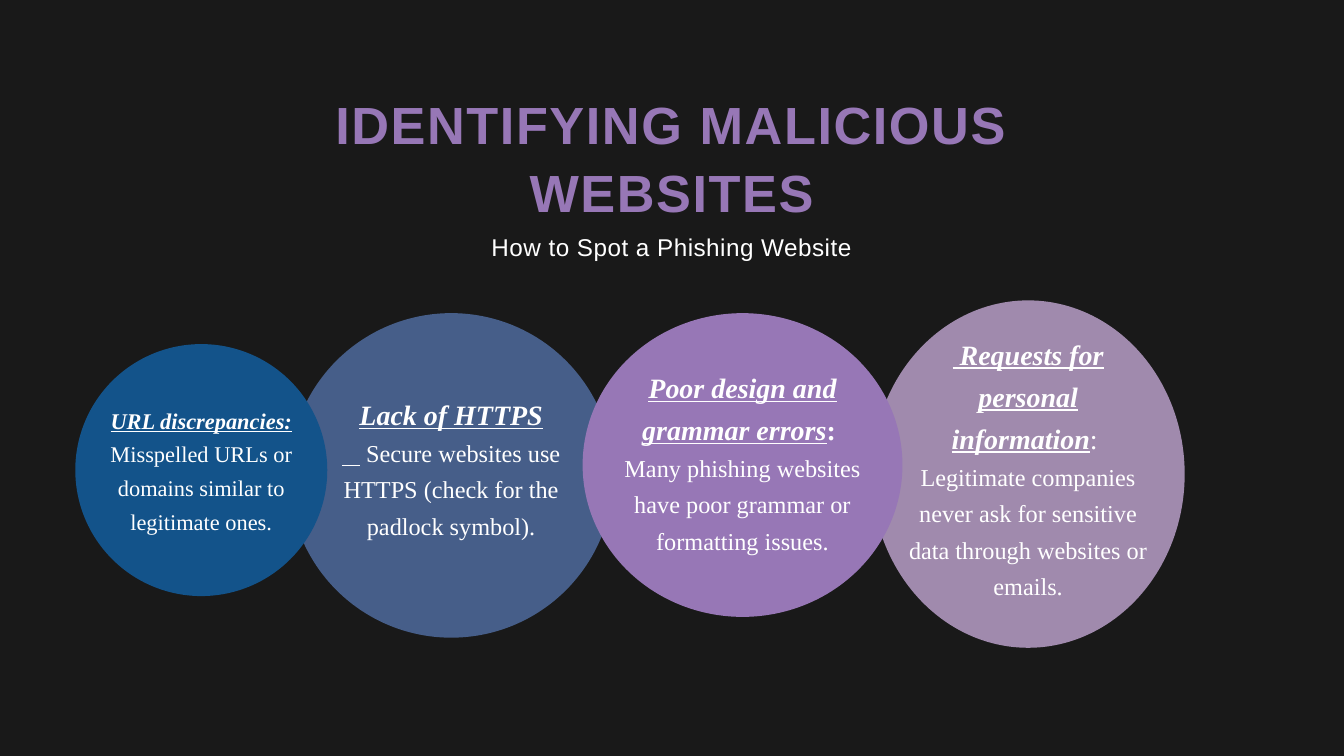
from pptx import Presentation
from pptx.dml.color import RGBColor
from pptx.enum.shapes import MSO_SHAPE as SHAPE
from pptx.enum.text import MSO_ANCHOR as ANCHOR, MSO_AUTO_SIZE as AUTO, PP_ALIGN as ALIGN
from pptx.util import Inches, Pt

DARK = RGBColor(0x19, 0x19, 0x19)
WHITE = RGBColor(0xFF, 0xFF, 0xFF)
PURPLE = RGBColor(0x97, 0x77, 0xB6)
SLATE = RGBColor(0x46, 0x5E, 0x89)
BLUE = RGBColor(0x13, 0x53, 0x8A)
MAUVE = RGBColor(0xA0, 0x8A, 0xAD)

HEAD = {"bold": True, "italic": True, "underline": True}
BOLD = {"bold": True}
PLAIN = {"bold": False}

# Each circle: box, fill, rise of its text box above the circle, paragraphs of (size, leading, runs).
CIRCLES = [
    ((4.3, 4.66, 4.83, 4.83), SLATE, 0.62, [
        (30, 45, [("Lack of HTTPS", HEAD)]),
        (26, 39, [("   ", HEAD), (" ", BOLD),
                  ("Secure websites use HTTPS (check for the padlock symbol).", PLAIN)])]),
    ((1.12, 5.12, 3.75, 3.75), BLUE, 0.48, [
        (24, 36, [("URL discrepancies:", HEAD), (" ", BOLD),
                  ("Misspelled URLs or domains similar to legitimate ones.", PLAIN)])]),
    ((12.97, 4.47, 4.66, 5.17), MAUVE, 0.55, [
        (30, 45, [(" Requests for personal information", HEAD), (": ", PLAIN)]),
        (26, 39, [("Legitimate companies never ask for sensitive data "
                   "through websites or emails.", PLAIN)])]),
    ((8.67, 4.66, 4.76, 4.52), PURPLE, 0.52, [
        (30, 45, [("Poor design and grammar errors", HEAD), (": ", BOLD)]),
        (26, 39, [("Many phishing websites have poor grammar or formatting issues.", PLAIN)])]),
]


def set_attrs(obj, values):
    """Set each named attribute of an object."""
    for name, value in values.items():
        setattr(obj, name, value)


def add_run(p, text, size, face, color, style):
    """Append a formatted run to a paragraph."""
    r = p.add_run()
    r.text = text
    set_attrs(r.font, {"size": Pt(size), "name": face, **style})
    r.font.color.rgb = color
    return r


def fill_heading(sp, box, text, size, color, leading, spacing, style):
    """Place a heading shape in its box and write its letter-spaced line."""
    left, top, width, height = map(Inches, box)
    set_attrs(sp, {"left": left, "top": top, "width": width, "height": height})
    tf = sp.text_frame
    set_attrs(tf, {"margin_left": 0, "margin_top": 0, "margin_right": 0, "margin_bottom": 0,
                   "word_wrap": True, "vertical_anchor": ANCHOR.TOP,
                   "auto_size": AUTO.SHAPE_TO_FIT_TEXT})
    p = tf.paragraphs[0]
    set_attrs(p, {"alignment": ALIGN.CENTER, "line_spacing": Pt(leading), "space_before": Pt(0)})
    r = add_run(p, text, size, "Arial", color, style)
    r.font._element.set("spc", str(spacing))


def add_header(slide, box):
    """Set the title and the subtitle under it."""
    left, top, width, height = box
    fill_heading(slide.shapes.title, (left, top, width, 1.99),
                 "IDENTIFYING MALICIOUS WEBSITES", 56, PURPLE, 72.8, 170, BOLD)
    subtitle = slide.shapes.add_textbox(0, 0, 0, 0)
    fill_heading(subtitle, (left, top + height - 0.47, width, 0.47),
                 "How to Spot a Phishing Website", 26, WHITE, 36.4, 50, PLAIN)


def add_circle(slide, box, color, rise, paragraphs):
    """Draw a filled circle grouped with its centred text."""
    left, top, width, height = box
    group = slide.shapes.add_group_shape()
    sp = group.shapes.add_shape(SHAPE.OVAL, *map(Inches, box))
    sp.shadow.inherit = False
    sp.fill.solid()
    sp.fill.fore_color.rgb = color
    sp.line.fill.background()

    side = 0.09375
    tb = group.shapes.add_textbox(Inches(left + side * width), Inches(top - rise),
                                  Inches(width * (1 - 2 * side)),
                                  Inches(rise + height * (1 - side)))
    tf = tb.text_frame
    pad = Inches(0.06)
    set_attrs(tf, {"margin_left": pad, "margin_right": pad, "margin_bottom": pad,
                   "margin_top": Inches(0.81), "word_wrap": True,
                   "vertical_anchor": ANCHOR.MIDDLE})
    for i, (size, leading, runs) in enumerate(paragraphs):
        p = tf.add_paragraph() if i else tf.paragraphs[0]
        set_attrs(p, {"alignment": ALIGN.CENTER, "line_spacing": Pt(leading)})
        for text, style in runs:
            add_run(p, text, size, "Times New Roman", WHITE, style)


def main():
    """Build and save the slide."""
    prs = Presentation()
    set_attrs(prs, {"slide_width": Inches(20), "slide_height": Inches(11.25)})
    slide = prs.slides.add_slide(prs.slide_layouts[5])
    slide.background.fill.solid()
    slide.background.fill.fore_color.rgb = DARK
    for circle in CIRCLES:
        add_circle(slide, *circle)
    add_header(slide, (3.17, 1.29, 13.65, 2.57))
    prs.save("out.pptx")


if __name__ == "__main__":
    main()
